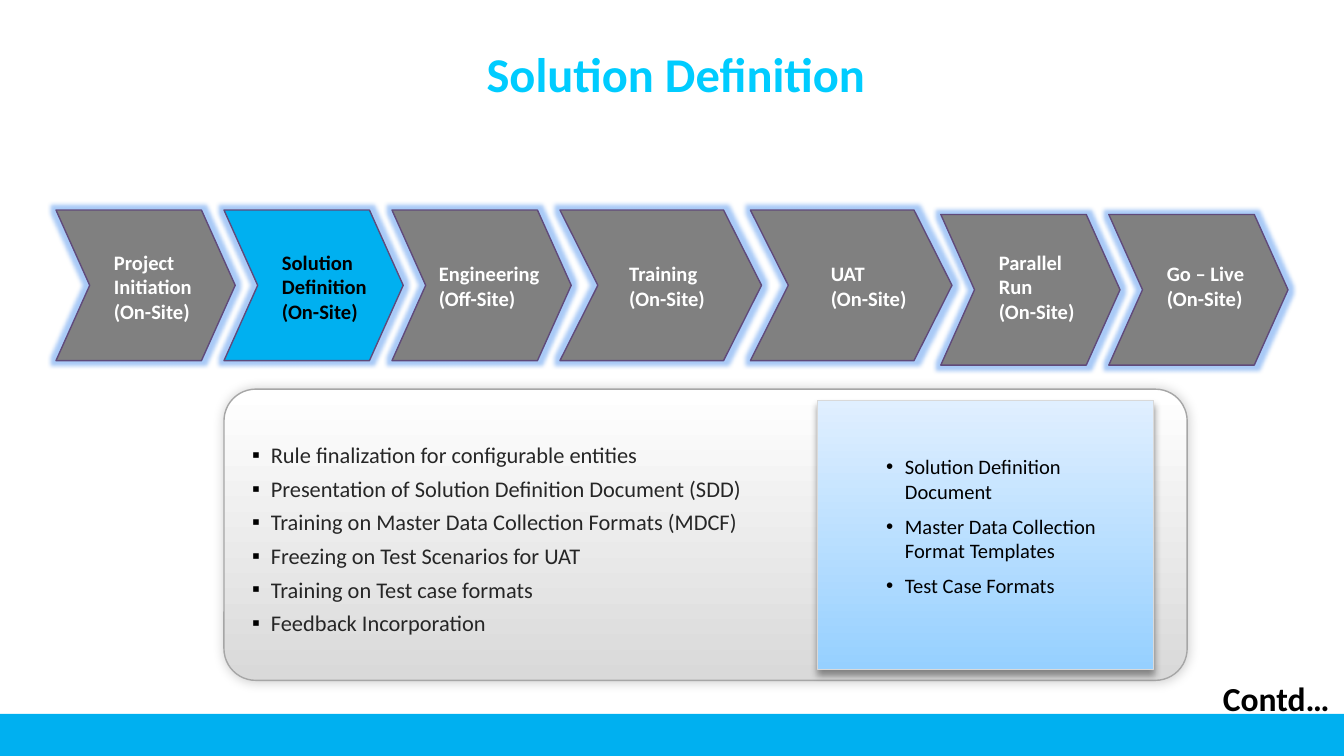
from lxml.etree import SubElement
from pptx import Presentation
from pptx.dml.color import RGBColor
from pptx.enum.shapes import MSO_SHAPE
from pptx.enum.text import MSO_ANCHOR, MSO_AUTO_SIZE, PP_ALIGN
from pptx.oxml.ns import qn
from pptx.util import Inches, Pt

COLUMNS_PER_INCH = 12
SLIDE_WIDTH = 10
FONT = "Calibri"
STEPS = [
    ("Project Initiation", "(On-Site)", 16, 4, 11),
    ("Solution Definition", "(On-Site)", 16, 4, 11),
    ("Engineering", "(Off-Site)", 16, 3, 12),
    ("Training", "(On-Site)", 18, 5, 11),
    ("UAT", "(On-Site)", 18, 6, 11),
    ("Parallel Run", "(On-Site)", 16, 4, 11),
    ("Go – Live", "(On-Site)", 16, 4, 11),
]
CURRENT_STEP = 1
FIRST_LOWERED_STEP = 5
ACTIVITIES = [
    "Rule finalization for configurable entities",
    "Presentation of Solution Definition Document (SDD)",
    "Training on Master Data Collection Formats (MDCF)",
    "Freezing on Test Scenarios for UAT",
    "Training on Test case formats",
    "Feedback Incorporation",
]
DELIVERABLES = [
    "Solution Definition Document",
    "Master Data Collection Format Templates",
    "Test Case Formats",
]


def color(hex_code):
    return RGBColor.from_string(hex_code)


def cells(*counts):
    return [Inches(count / COLUMNS_PER_INCH) for count in counts]


def add_run(paragraph, text, size, hex_code, bold=False):
    run = paragraph.add_run()
    run.text = text
    run.font.name = FONT
    run.font.size = Pt(size)
    run.font.bold = bold
    run.font.color.rgb = color(hex_code)


def add_effect(shape, kind, hex_code, opacity, **settings):
    effects = shape._element.spPr.find(qn("a:effectLst"))
    effect = SubElement(effects, qn(f"a:{kind}"), {k: str(v) for k, v in settings.items()})
    tint = SubElement(effect, qn("a:srgbClr"), val=hex_code)
    SubElement(tint, qn("a:alpha"), val=str(opacity * 1000))


def add_block(slide, preset, box, fill, outline=None, weight=0.75, adjust=None):
    block = slide.shapes.add_shape(preset, *cells(*box))
    block.shadow.inherit = False
    if adjust is not None:
        block.adjustments[0] = adjust
    if isinstance(fill, tuple):
        block.fill.gradient()
        block.fill.gradient_angle = 90
        for stop, hex_code in zip(block.fill.gradient_stops, fill):
            stop.color.rgb = color(hex_code)
    else:
        block.fill.solid()
        block.fill.fore_color.rgb = color(fill)
    if outline:
        block.line.color.rgb = color(outline)
        block.line.width = Pt(weight)
    else:
        block.line.fill.background()
    return block


def add_label(slide, box, lines, size, hex_code):
    frame = slide.shapes.add_textbox(*cells(*box)).text_frame
    frame.word_wrap = True
    for index, line in enumerate(lines):
        paragraph = frame.paragraphs[0] if index == 0 else frame.add_paragraph()
        add_run(paragraph, line, size, hex_code, bold=True)


def fill_bullets(frame, items, symbol, indent, size, hex_code, gap):
    frame.word_wrap = True
    for index, item in enumerate(items):
        paragraph = frame.paragraphs[0] if index == 0 else frame.add_paragraph()
        properties = paragraph._p.get_or_add_pPr()
        properties.set("marL", str(Inches(indent)))
        properties.set("indent", str(Inches(-0.14)))
        bullet_color = SubElement(properties, qn("a:buClr"))
        SubElement(bullet_color, qn("a:srgbClr"), val="000000")
        SubElement(properties, qn("a:buFont"), typeface="Arial")
        SubElement(properties, qn("a:buChar"), char=symbol)
        paragraph.alignment = PP_ALIGN.LEFT
        if index:
            paragraph.space_before = Pt(gap)
        add_run(paragraph, item, size, hex_code)


def set_insets(frame, left, top, right, bottom):
    frame.margin_left, frame.margin_top = Inches(left), Inches(top)
    frame.margin_right, frame.margin_bottom = Inches(right), Inches(bottom)


def place_title(slide, box):
    title = slide.shapes.title
    title.left, title.top, title.width, title.height = cells(*box)
    frame = title.text_frame
    set_insets(frame, 0.07, 0.04, 0.07, 0.04)
    frame.auto_size = MSO_AUTO_SIZE.NONE
    frame.vertical_anchor = MSO_ANCHOR.TOP
    frame.paragraphs[0].alignment = PP_ALIGN.LEFT
    add_run(frame.paragraphs[0], "Solution Definition", 26, "00CCFF", bold=True)


def place_panel(slide, box):
    left, top, width, height = box
    activities = add_block(slide, MSO_SHAPE.ROUNDED_RECTANGLE, box,
                           ("D9D9D9", "FFFFFF"), "A6A6A6", adjust=0.109)
    add_effect(activities, "outerShdw", "000000", 20, blurRad=Pt(6), dist=0, dir=18900000)
    set_insets(activities.text_frame, 0, 0.06, 0, 0)
    activities.text_frame.vertical_anchor = MSO_ANCHOR.MIDDLE
    fill_bullets(activities.text_frame, ACTIVITIES, "▪", 0.28, 12, "262626", 3.6)

    deliverables = add_block(slide, MSO_SHAPE.ROUNDED_RECTANGLE,
                             (left + 53, top + 1, width - 56, height - 2),
                             ("96D0FF", "E0EFFF"), "D9D9D9", 0.5, adjust=0)
    add_effect(deliverables, "outerShdw", "000000", 40, blurRad=Pt(4), dist=Pt(3), dir=5400000)
    set_insets(deliverables.text_frame, 0, 0.4, 0.15, 0)
    deliverables.text_frame.vertical_anchor = MSO_ANCHOR.TOP
    fill_bullets(deliverables.text_frame, DELIVERABLES, "•", 0.65, 11, "000000", 5.5)


def place_process(slide, box):
    left, top, _, height = box
    labels = []
    for index, (phase, site, width, offset, label_width) in enumerate(STEPS):
        current = index == CURRENT_STEP
        drop = 0.4 if index >= FIRST_LOWERED_STEP else 0
        chevron = add_block(slide, MSO_SHAPE.CHEVRON, (left, top + drop, width, height),
                            "00B0F0" if current else "808080", "604A7B",
                            adjust=0.252 if width == 18 else 0.224)
        add_effect(chevron, "glow", "8DB9F5", 75, rad=Pt(4.5))
        label_drop = 2.95 if " " in phase and phase != "Go – Live" else 4
        labels.append(((left + offset, top + label_drop, label_width, 8),
                       (phase, site), 11, "000000" if current else "FFFFFF"))
        left += width - 1
    for label in labels:
        add_label(slide, *label)


def place_footer(slide, box):
    left, top, width, _ = box
    add_block(slide, MSO_SHAPE.RECTANGLE, box, "00B0F0")
    add_label(slide, (left + width - 12, top - 3.8, 13, 4.8), ["Contd…"], 18, "000000")


def main():
    deck = Presentation()
    deck.slide_width, deck.slide_height = Inches(SLIDE_WIDTH), Inches(SLIDE_WIDTH * 9 / 16)
    slide = deck.slides.add_slide(deck.slide_layouts[5])
    place_title(slide, (42.6, 3.45, 71.3, 5.6))
    place_panel(slide, (20, 34.75, 86, 26))
    place_process(slide, (5, 18.75, 110, 13.45))
    place_footer(slide, (0, 63.75, 120, 3.75))
    deck.save("out.pptx")


if __name__ == "__main__":
    main()
